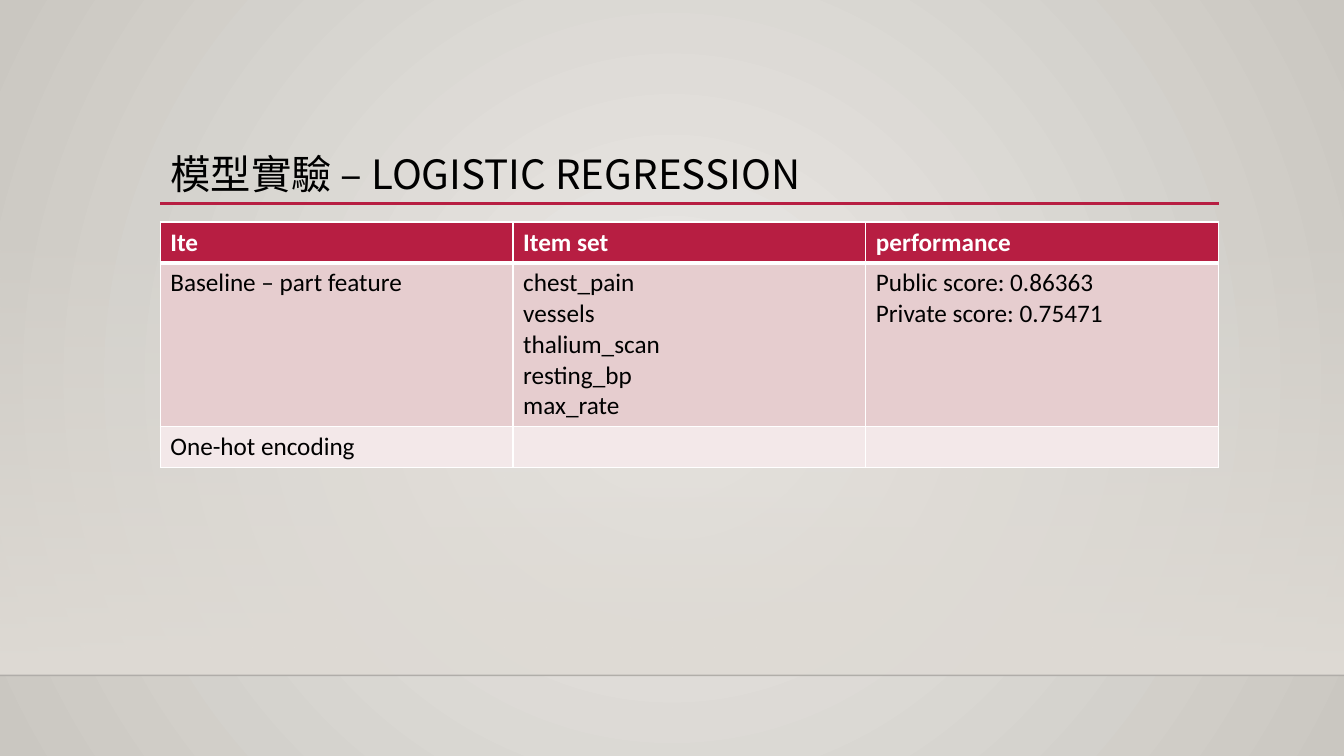
import pptx
import pptx.util
import pptx.dml.color
import pptx.enum.shapes
import pptx.enum.text
import pptx.oxml
import pptx.oxml.ns

Pt = pptx.util.Pt
qn = pptx.oxml.ns.qn
NAMESPACE = pptx.oxml.ns.nsdecls("a")

COLORS = {
    "glow": "ECEAE7", "edge": "CAC7C1", "floor": "DFDBD5", "horizon": "000001",
    "accent": "B71E42", "band": "E6CDCF", "pale": "F3E8E9",
    "white": "FFFFFF", "black": "000000",
}
WIDTH, HEIGHT = 960, 540
LEFT, CONTENT_WIDTH = 114.5, 756
HORIZON = 482.4
HEADER_RULE = 3
ROWS = [
    ["Ite", "Item set", "performance"],
    ["Baseline – part feature",
     "chest_pain\nvessels\nthalium_scan\nresting_bp\nmax_rate",
     "Public score: 0.86363\nPrivate score: 0.75471"],
    ["One-hot encoding", "", ""],
]
ROW_HEIGHTS = [29.2, 117, 29.2]
ROW_STYLES = [("accent", "white"), ("band", "black"), ("pale", "black")]


class SlideBuilder:
    """Draws styled elements, measured in points, on one slide."""

    def __init__(self, presentation):
        self.slide = presentation.slides.add_slide(presentation.slide_layouts[5])
        self.shapes = self.slide.shapes

    def color(self, name):
        return pptx.dml.color.RGBColor.from_string(COLORS[name])

    def gradient(self, parent, stops, direction):
        stop_xml = "".join(
            f'<a:gs pos="{position * 1000}"><a:srgbClr val="{COLORS[name]}">'
            f'<a:alpha val="{alpha * 1000}"/></a:srgbClr></a:gs>'
            for position, name, alpha in stops)
        fill = pptx.oxml.parse_xml(
            f'<a:gradFill {NAMESPACE} rotWithShape="1"><a:gsLst>{stop_xml}</a:gsLst>'
            f'{direction}</a:gradFill>')
        solid = parent.find(qn("a:solidFill"))
        parent.replace(solid, fill)

    def background(self):
        self.slide.background.fill.solid()
        self.gradient(
            self.slide.element.find(".//" + qn("p:bgPr")),
            [(0, "glow", 100), (100, "edge", 100)],
            '<a:path path="circle"><a:fillToRect l="50000" t="50000" r="50000" b="50000"/></a:path>')

    def fade(self, top, bottom):
        shape = self.shapes.add_shape(
            pptx.enum.shapes.MSO_SHAPE.RECTANGLE, 0, Pt(top), Pt(WIDTH), Pt(bottom - top))
        shape.shadow.inherit = False
        shape.line.fill.background()
        shape.fill.solid()
        self.gradient(shape.element.spPr, [(0, "floor", 0), (100, "floor", 100)],
                      '<a:lin ang="5400000" scaled="0"/>')

    def rule(self, left, top, width, color, weight, alpha=100):
        line = self.shapes.add_connector(
            pptx.enum.shapes.MSO_CONNECTOR.STRAIGHT, Pt(left), Pt(top), Pt(left + width), Pt(top))
        line.line.color.rgb = self.color(color)
        line.line.width = Pt(weight)
        properties = line.element.spPr
        pptx.oxml.ns.qn("a:alpha")
        transparency = pptx.oxml.parse_xml(f'<a:alpha {NAMESPACE} val="{alpha * 1000}"/>')
        properties.find(".//" + qn("a:srgbClr")).append(transparency)
        properties.append(pptx.oxml.parse_xml(f"<a:effectLst {NAMESPACE}/>"))

    def title(self, text, left, top, width, height):
        title = self.shapes.title
        title.left, title.top, title.width, title.height = map(Pt, (left, top, width, height))
        frame = title.text_frame
        frame.text = text
        frame.word_wrap = True
        frame.auto_size = pptx.enum.text.MSO_AUTO_SIZE.NONE
        frame.vertical_anchor = pptx.enum.text.MSO_ANCHOR.MIDDLE
        paragraph = frame.paragraphs[0]
        paragraph.alignment = pptx.enum.text.PP_ALIGN.LEFT
        paragraph.line_spacing = 0.9
        self.font(paragraph, "Noto Sans CJK TC", 28.8, "black")
        east_asian = pptx.oxml.parse_xml(f'<a:ea {NAMESPACE} typeface="Noto Sans CJK TC"/>')
        paragraph.runs[0].font.name = "Noto Sans CJK TC"
        paragraph.runs[0].font.language_id = pptx.enum.lang.MSO_LANGUAGE_ID.TRADITIONAL_CHINESE
        paragraph.runs[0]._r.rPr.append(east_asian)
        self.shapes.element.append(title.element)

    def font(self, paragraph, name, size, color, bold=False):
        font = paragraph.font
        font.name, font.size, font.bold = name, Pt(size), bold
        font.color.rgb = self.color(color)

    def borders(self, cell, top, bottom):
        properties = cell._tc.get_or_add_tcPr()
        for side, weight in (("L", 1), ("R", 1), ("T", top), ("B", bottom)):
            properties.append(pptx.oxml.parse_xml(
                f'<a:ln{side} {NAMESPACE} w="{Pt(weight)}"><a:solidFill>'
                f'<a:srgbClr val="{COLORS["white"]}"/></a:solidFill></a:ln{side}>'))

    def table(self, rows, left, top, width):
        table = self.shapes.add_table(
            len(rows), len(rows[0]), Pt(left), Pt(top), Pt(width), Pt(sum(ROW_HEIGHTS))).table
        for row_index, texts in enumerate(rows):
            table.rows[row_index].height = Pt(ROW_HEIGHTS[row_index])
            fill, text_color = ROW_STYLES[row_index]
            for column_index, text in enumerate(texts):
                cell = table.cell(row_index, column_index)
                self.borders(cell, HEADER_RULE if row_index == 1 else 1,
                             HEADER_RULE if row_index == 0 else 1)
                cell.fill.solid()
                cell.fill.fore_color.rgb = self.color(fill)
                cell.text_frame.text = text
                for paragraph in cell.text_frame.paragraphs:
                    self.font(paragraph, "Calibri", 18, text_color, row_index == 0)


def main():
    presentation = pptx.Presentation()
    presentation.slide_width, presentation.slide_height = Pt(WIDTH), Pt(HEIGHT)
    builder = SlideBuilder(presentation)
    builder.background()
    builder.fade(159, HORIZON)
    builder.rule(0, HORIZON, WIDTH, "horizon", 1, alpha=20)
    builder.rule(LEFT, 145.4, CONTENT_WIDTH, "accent", 2.5)
    builder.title("模型實驗 – LOGISTIC REGRESSION", LEFT, 106.5, CONTENT_WIDTH, 39.6)
    builder.table(ROWS, LEFT, 158.6, CONTENT_WIDTH)
    presentation.save("out.pptx")


if __name__ == "__main__":
    main()
